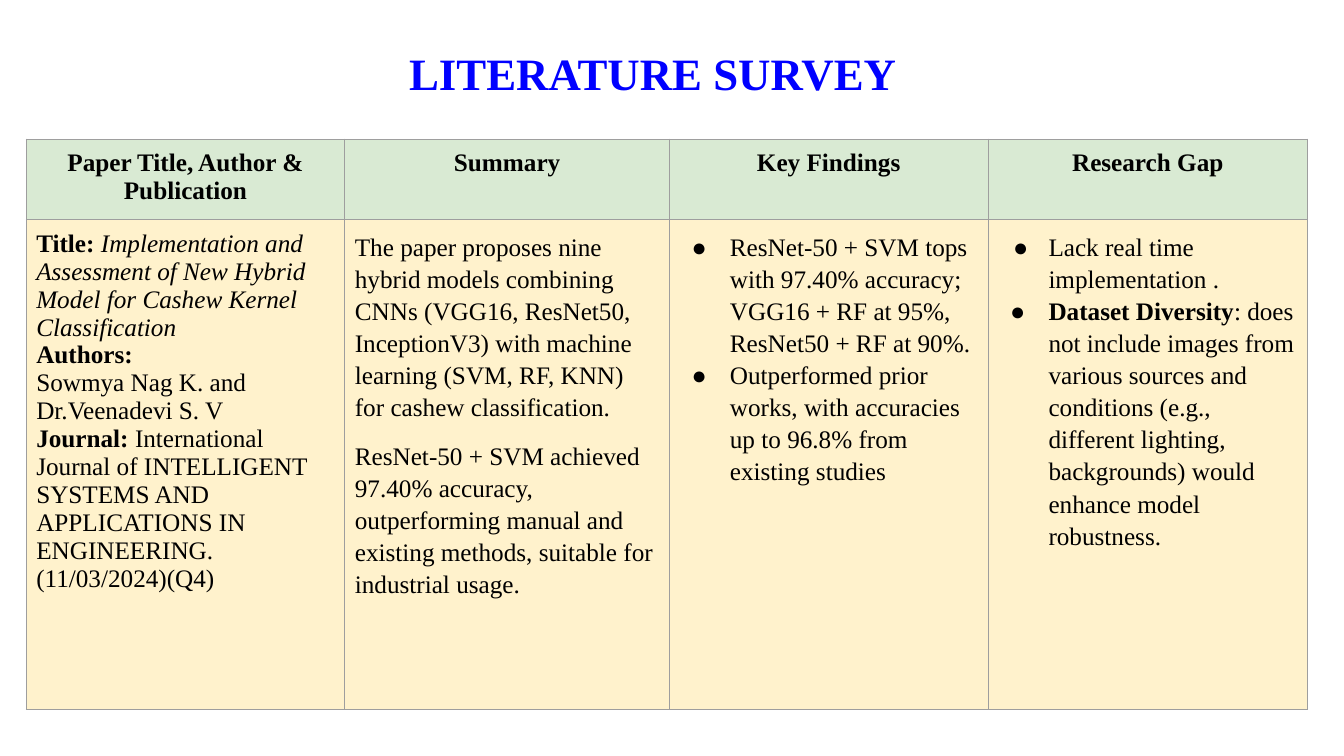
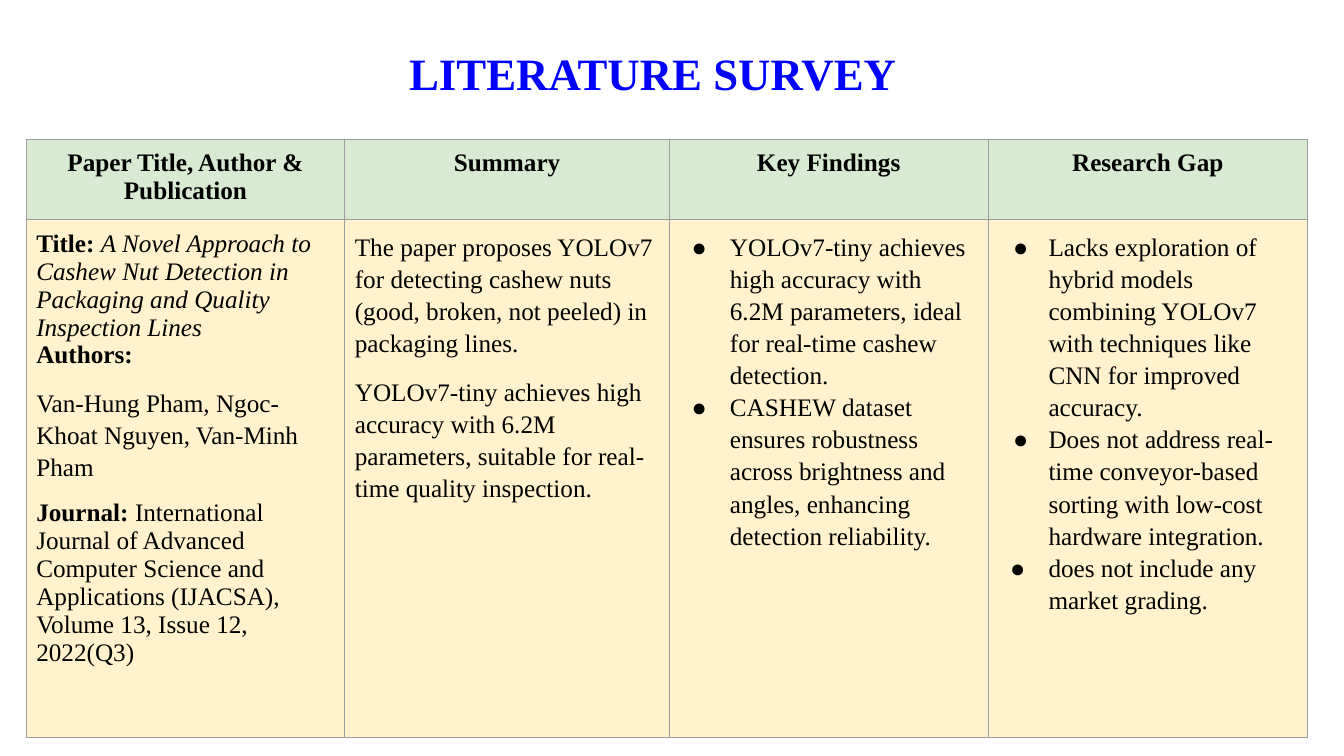
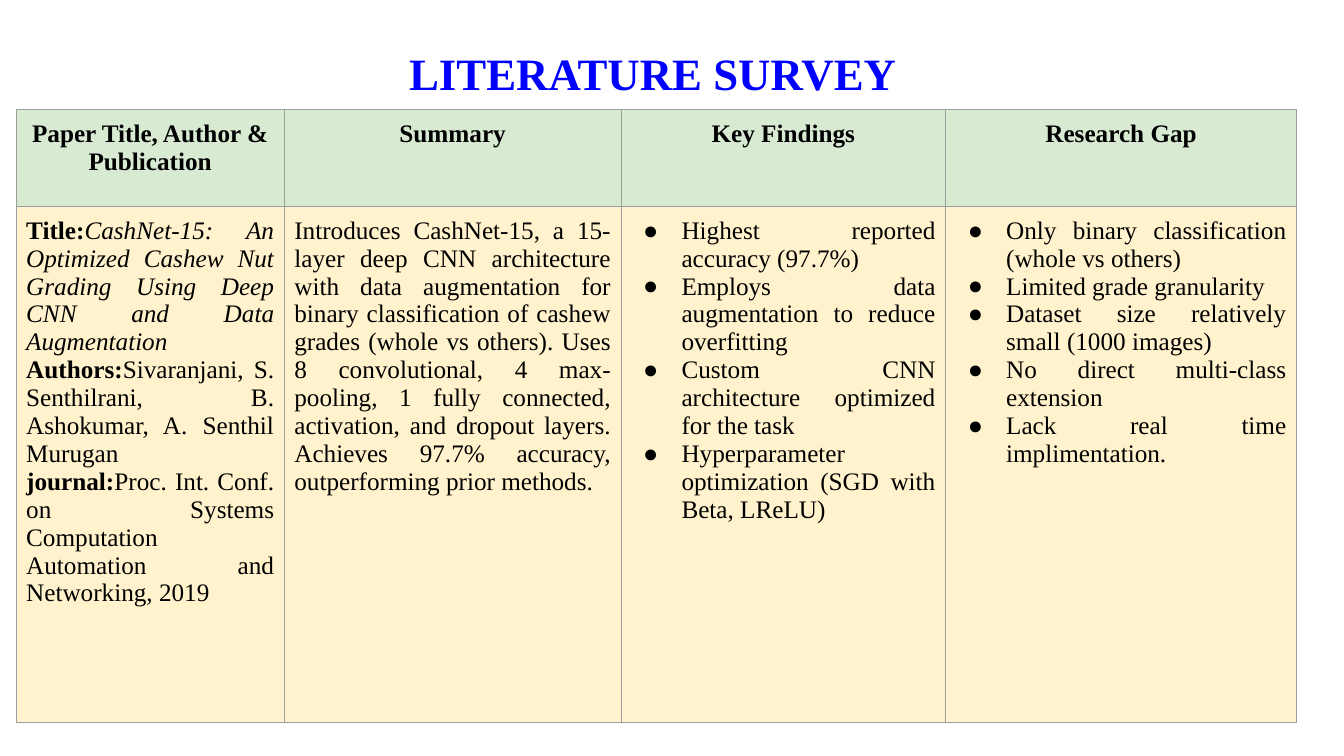
from dataclasses import dataclass
from typing import Optional

from lxml import etree
from pptx import Presentation
from pptx.dml.color import RGBColor
from pptx.enum.text import MSO_ANCHOR, PP_ALIGN
from pptx.oxml.ns import qn
from pptx.util import Inches, Pt

LEFT, CENTER, JUST = PP_ALIGN.LEFT, PP_ALIGN.CENTER, PP_ALIGN.JUSTIFY
BOTTOM = MSO_ANCHOR.BOTTOM

# Shared style
FACE = "Times New Roman"
BLUE, BLACK, GRAY = "0000FF", "000000", "9E9E9E"
GREEN, CREAM = "D9EAD3", "FFF2CC"
PAD = Inches(0.1)
TITLE = "LITERATURE SURVEY"
HEADS = ["Paper Title, Author & Publication", "Summary", "Key Findings", "Research Gap"]


@dataclass
class Run:
    text: str
    bold: bool = False
    ital: bool = False


@dataclass
class Para:
    runs: list[Run]
    line: Optional[float] = None
    gap: int = 0
    hang: float = 0  # bullet indent in inches; 0 means no bullet


@dataclass
class Paper:
    left: float
    top: float
    cols: list[float]
    rows: list[float]
    cells: list[list[Para]]
    align: PP_ALIGN = LEFT


def plain(*runs: Run) -> Para:
    return Para(list(runs))


def prose(text: str) -> Para:
    return Para([Run(text)], 1.15, 12)


def point(*runs: Run, gap: int = 0, hang: float = 0.38) -> Para:
    return Para(list(runs), 1.15, gap, hang)


def short(*texts: str) -> list[Para]:
    return [Para([Run(text)], hang=0.38) for text in texts]


def paint(color: str) -> RGBColor:
    return RGBColor.from_string(color)


def style(font, size: int, color: str, bold: bool, ital: bool = False) -> None:
    form = {"name": FACE, "size": Pt(size), "bold": bold, "italic": ital}
    for key, value in form.items():
        setattr(font, key, value)
    font.color.rgb = paint(color)


def mark(para, hang: float) -> None:
    """Give a paragraph a hanging round bullet."""
    props = para._p.get_or_add_pPr()
    props.set("marL", str(Inches(0.5)))
    props.set("indent", str(-Inches(hang)))
    tint = etree.SubElement(props, qn("a:buClr"))
    etree.SubElement(tint, qn("a:srgbClr"), val=BLACK)
    etree.SubElement(props, qn("a:buFont"), typeface=FACE)
    etree.SubElement(props, qn("a:buChar"), char="●")


def write(frame, paras: list[Para], align: PP_ALIGN, size: int = 18, color: str = BLACK) -> None:
    for num, item in enumerate(paras):
        para = frame.add_paragraph() if num else frame.paragraphs[0]
        para.alignment = align
        para.space_before = Pt(item.gap)
        if item.line:
            para.line_spacing = item.line
        if item.hang:
            mark(para, item.hang)
        for part in item.runs:
            run = para.add_run()
            run.text = part.text
            style(run.font, size, color, part.bold, part.ital)


def frame_cell(cell, fill: str) -> None:
    """Set padding, borders and fill of a cell."""
    for side in ("left", "top", "right", "bottom"):
        setattr(cell, f"margin_{side}", PAD)
    props = cell._tc.get_or_add_tcPr()
    for tag in ("a:lnL", "a:lnR", "a:lnT", "a:lnB"):
        edge = etree.SubElement(props, qn(tag), w=str(Pt(0.75)))
        solid = etree.SubElement(edge, qn("a:solidFill"))
        etree.SubElement(solid, qn("a:srgbClr"), val=GRAY)
    cell.fill.solid()
    cell.fill.fore_color.rgb = paint(fill)


def add_title(slide) -> None:
    box = slide.shapes.add_textbox(Inches(2.82), Inches(0.4), Inches(7.31), Inches(0.64))
    frame = box.text_frame
    frame.word_wrap = True
    frame.vertical_anchor = BOTTOM
    write(frame, [plain(Run(TITLE, bold=True))], CENTER, 32, BLUE)


def add_grid(slide, paper: Paper) -> None:
    table = slide.shapes.add_table(
        2, len(HEADS), Inches(paper.left), Inches(paper.top),
        Inches(sum(paper.cols)), Inches(sum(paper.rows))).table
    table.first_row = table.horz_banding = False
    for row, high in zip(table.rows, paper.rows):
        row.height = Inches(high)
    for num, (wide, head, body) in enumerate(zip(paper.cols, HEADS, paper.cells)):
        table.columns[num].width = Inches(wide)
        top, low = table.cell(0, num), table.cell(1, num)
        frame_cell(top, GREEN)
        write(top.text_frame, [plain(Run(head, bold=True))], CENTER)
        frame_cell(low, CREAM)
        write(low.text_frame, body, paper.align)


# Papers, one a slide
WIDE = [3.16, 3.22, 3.16, 3.17]
PAPERS = [
    Paper(0.26, 1.38, WIDE, [0.75, 4.86], [
        [
            plain(Run("Title: ", True),
                  Run("Implementation and Assessment of New Hybrid Model for Cashew Kernel "
                      "Classification", ital=True)),
            plain(Run("Authors:", True)),
            plain(Run("Sowmya Nag K. and Dr.Veenadevi S. V")),
            plain(Run("Journal: ", True),
                  Run("International Journal of INTELLIGENT SYSTEMS AND APPLICATIONS IN "
                      "ENGINEERING.")),
            plain(Run("(11/03/2024)(Q4)")),
        ],
        [
            prose("The paper proposes nine hybrid models combining CNNs (VGG16, ResNet50, "
                  "InceptionV3) with machine learning (SVM, RF, KNN) for cashew classification."),
            prose("ResNet-50 + SVM achieved 97.40% accuracy, outperforming manual and existing "
                  "methods, suitable for industrial usage."),
        ],
        [
            point(Run("ResNet-50 + SVM tops with 97.40% accuracy; VGG16 + RF at 95%, "
                      "ResNet50 + RF at 90%."), gap=12),
            point(Run("Outperformed prior works, with accuracies up to 96.8% from "
                      "existing studies")),
        ],
        [
            point(Run("Lack real time implementation ."), gap=12, hang=0.35),
            point(Run("Dataset Diversity", True),
                  Run(": does not include images from various sources and conditions (e.g., "
                      "different lighting, backgrounds) would enhance model robustness.")),
        ],
    ]),
    Paper(0.26, 1.38, WIDE, [0.78, 5.14], [
        [
            plain(Run("Title: ", True),
                  Run("A Novel Approach to Cashew Nut Detection in Packaging and Quality "
                      "Inspection Lines", ital=True)),
            plain(Run("Authors:", True)),
            prose("Van-Hung Pham, Ngoc-Khoat Nguyen, Van-Minh Pham"),
            Para([Run("Journal: ", True),
                  Run("International Journal of Advanced Computer Science and Applications "
                      "(IJACSA), Volume 13, Issue 12, 2022(Q3)")], gap=12),
        ],
        [
            prose("The paper proposes YOLOv7 for detecting cashew nuts (good, broken, not "
                  "peeled) in packaging lines."),
            prose("YOLOv7-tiny achieves high accuracy with 6.2M parameters, suitable for "
                  "real-time quality inspection."),
        ],
        [
            point(Run("YOLOv7-tiny achieves high accuracy with 6.2M parameters, ideal for "
                      "real-time cashew detection."), gap=12),
            point(Run("CASHEW dataset ensures robustness across brightness and angles, "
                      "enhancing detection reliability.")),
        ],
        [
            point(Run("Lacks exploration of hybrid models combining YOLOv7 with techniques "
                      "like CNN for improved accuracy."), gap=12, hang=0.35),
            point(Run("Does not address real-time conveyor-based sorting with low-cost "
                      "hardware integration."), hang=0.35),
            point(Run("does not include any market grading.")),
        ],
    ]),
    Paper(0.16, 1.09, [2.66, 3.34, 3.22, 3.48], [0.96, 5.12], [
        [
            plain(Run("Title:", True),
                  Run("CashNet-15: An Optimized Cashew Nut Grading Using Deep CNN and Data "
                      "Augmentation", ital=True)),
            plain(Run("Authors:", True),
                  Run("Sivaranjani, S. Senthilrani, B. Ashokumar, A. Senthil Murugan")),
            plain(Run("journal:", True),
                  Run("Proc. Int. Conf. on Systems Computation Automation and Networking, "
                      "2019")),
        ],
        [
            plain(Run("Introduces CashNet-15, a 15-layer deep CNN architecture with data "
                      "augmentation for binary classification of cashew grades (whole vs "
                      "others). Uses 8 convolutional, 4 max-pooling, 1 fully connected, "
                      "activation, and dropout layers. Achieves 97.7% accuracy, "
                      "outperforming prior methods.")),
        ],
        short("Highest reported accuracy (97.7%)",
              "Employs data augmentation to reduce overfitting",
              "Custom CNN architecture optimized for the task",
              "Hyperparameter optimization (SGD with Beta, LReLU)"),
        short("Only binary classification (whole vs others)",
              "Limited grade granularity",
              "Dataset size relatively small (1000 images)",
              "No direct multi-class extension",
              "Lack real time implimentation."),
    ], JUST),
]


def main() -> None:
    deck = Presentation()
    deck.slide_width, deck.slide_height = Inches(13.33), Inches(7.5)
    for paper in PAPERS:
        slide = deck.slides.add_slide(deck.slide_layouts[6])
        add_title(slide)
        add_grid(slide, paper)
    deck.save("out.pptx")


if __name__ == "__main__":
    main()
